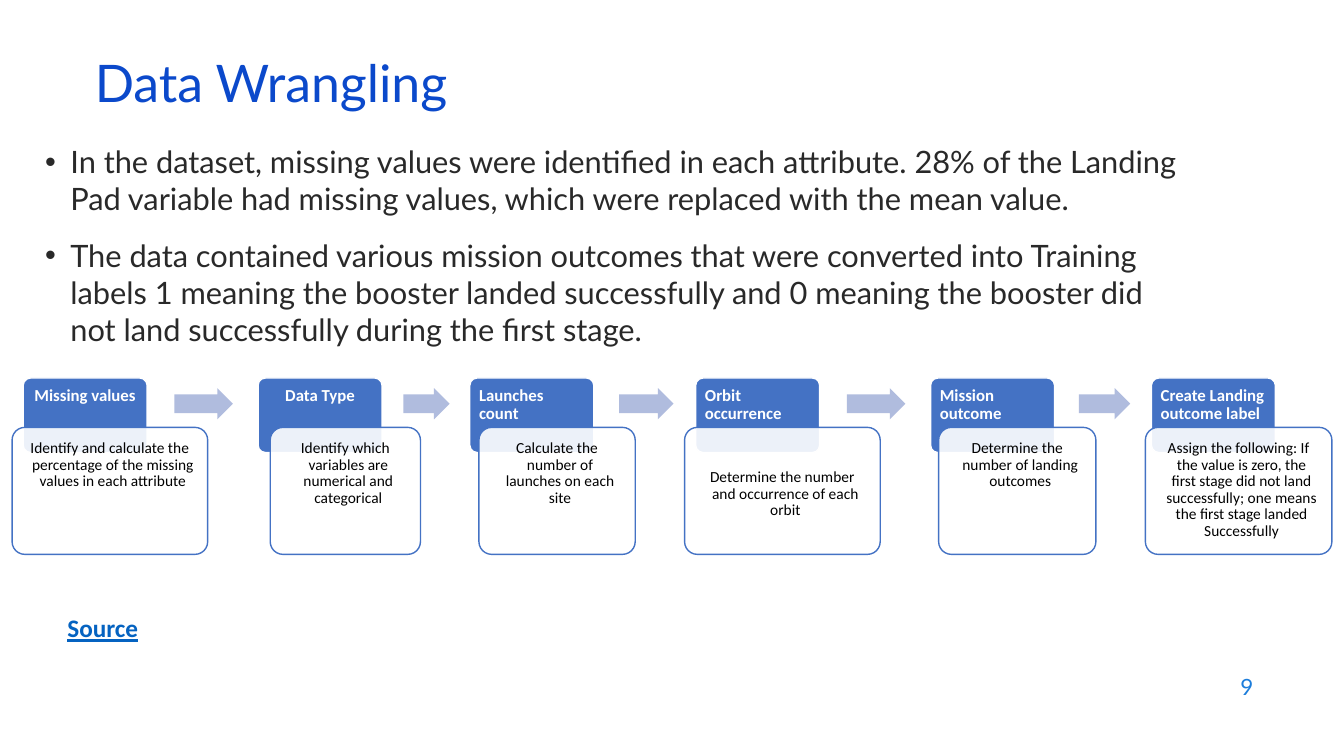
from dataclasses import dataclass

from pptx import Presentation
from pptx.dml.color import RGBColor
from pptx.enum import shapes, text
from pptx.oxml import parse_xml
from pptx.oxml.ns import nsdecls, qn
from pptx.util import Inches, Pt


@dataclass(frozen=True)
class Theme:
    lead: str = "Lato"
    small: str = "Calibri"
    title: str = "0B49CB"
    ink: str = "292929"
    blue: str = "4472C4"
    arrow: str = "B0BCDE"
    white: str = "FFFFFF"
    black: str = "000000"
    link: str = "0563C1"
    page: str = "1C7DDB"
    title_pt: int = 37
    point_pt: int = 22
    link_pt: int = 18
    page_pt: int = 16
    head_pt: int = 12
    body_pt: int = 11


T = Theme()
MID, LEFT, RIGHT = text.PP_ALIGN.CENTER, text.PP_ALIGN.LEFT, text.PP_ALIGN.RIGHT

TITLE = "Data Wrangling"
POINTS = [
    "In the dataset, missing values were identified in each attribute. 28% of the Landing Pad variable had missing values, which were replaced with the mean value.",
    "The data contained various mission outcomes that were converted into Training labels 1 meaning the booster landed successfully and 0 meaning the booster did not land successfully during the first stage.",
]
STEPS = [
    dict(head="Missing values", align=MID, x=0.23, box=(0.12, 1.94), arrow=(1.73, 0.58),
         body="Identify and calculate the percentage of the missing values in each attribute"),
    dict(head="Data Type", align=MID, x=2.56, box=(2.68, 1.49), arrow=(4, 0.46),
         body="Identify which variables are numerical and categorical"),
    dict(head="Launches count", x=4.66, box=(4.75, 1.55), arrow=(6.14, 0.54),
         body="Calculate the number of launches on each site"),
    dict(head="Orbit occurrence", x=6.9, box=(6.79, 1.94), arrow=(8.4, 0.58), pad=(0.11, 0.38),
         body="Determine the number and occurrence of each orbit"),
    dict(head="Mission outcome", x=9.23, box=(9.31, 1.56), arrow=(10.7, 0.51),
         body="Determine the number of landing outcomes"),
    dict(head="Create Landing outcome label", x=11.42, box=(11.36, 1.85),
         body="Assign the following: If the value is zero, the first stage did not land successfully; one means the first stage landed Successfully"),
]
LINK = "Source"
PAGE = "9"


def color(code):
    return RGBColor.from_string(code)


def style(para, face, size, code, bold=False, align=LEFT, line=1.0):
    para.alignment = align
    para.line_spacing = line
    for run in para.runs:
        font = run.font
        font.name, font.size, font.bold = face, Pt(size), bold
        font.color.rgb = color(code)


def indent(para, size):
    props = para._p.get_or_add_pPr()
    props.set("marL", str(Inches(size)))
    props.set("indent", str(-Inches(size)))
    return props


def label(slide, at, words):
    box = slide.shapes.add_textbox(*map(Inches, at))
    box.text_frame.word_wrap = True
    box.text_frame.text = words
    return box.text_frame


def shape(slide, kind, at, fill, line=None, adjust=(0.1,)):
    item = slide.shapes.add_shape(kind, *map(Inches, at))
    item.shadow.inherit = False
    for i, value in enumerate(adjust):
        item.adjustments[i] = value
    item.fill.solid()
    item.fill.fore_color.rgb = color(fill)
    if line:
        item.line.color.rgb = color(line)
        item.line.width = Pt(1)
    else:
        item.line.fill.background()
    return item


def write(item, words, side, top):
    frame = item.text_frame
    frame.word_wrap = True
    frame.vertical_anchor = text.MSO_ANCHOR.TOP
    frame.margin_left = frame.margin_right = Inches(side)
    frame.margin_top, frame.margin_bottom = Inches(top), Inches(0.05)
    frame.text = words
    return frame.paragraphs[0]


def add_step(slide, step):
    block = shapes.MSO_SHAPE.ROUNDED_RECTANGLE
    head = shape(slide, block, (step["x"], 3.75, 1.23, 0.74), T.blue, T.white)
    para = write(head, step["head"], 0.07, 0.07)
    style(para, T.small, T.head_pt, T.white, True, step.get("align", LEFT), 0.9)

    left, width = step["box"]
    body = shape(slide, block, (left, 4.24, width, 1.26), T.white, T.blue)
    tint = body.fill._xPr.find(qn("a:solidFill"))[0]
    tint.append(parse_xml(f'<a:alpha {nsdecls("a")} val="90000"/>'))
    para = write(body, step["body"], *step.get("pad", (0.09, 0.09)))
    indent(para, 0.06)
    style(para, T.small, T.body_pt, T.black, align=MID, line=0.9)

    if "arrow" in step:
        left, width = step["arrow"]
        shape(slide, shapes.MSO_SHAPE.RIGHT_ARROW, (left, 3.85, width, 0.31), T.arrow, adjust=(0.6, 0.5))


def main():
    deck = Presentation()
    deck.slide_width, deck.slide_height = Inches(13.33), Inches(7.5)
    slide = deck.slides.add_slide(deck.slide_layouts[5])

    title = slide.shapes.title
    title.left, title.top, title.width, title.height = map(Inches, (0.84, 0.59, 11.5, 0.6))
    frame = title.text_frame
    frame.text = TITLE
    frame.auto_size = text.MSO_AUTO_SIZE.NONE
    frame.vertical_anchor = text.MSO_ANCHOR.MIDDLE
    style(frame.paragraphs[0], T.lead, T.title_pt, T.title, line=0.7)

    for step in STEPS:
        add_step(slide, step)

    frame = label(slide, (0.35, 1.37, 11.5, 2.49), "\n".join(POINTS))
    for i, para in enumerate(frame.paragraphs):
        props = indent(para, 0.25)
        props.append(parse_xml(f'<a:buFont {nsdecls("a")} typeface="Arial"/>'))
        props.append(parse_xml(f'<a:buChar {nsdecls("a")} char="•"/>'))
        style(para, T.lead, T.point_pt, T.ink)
        if i:
            para.space_before = Pt(14)

    frame = label(slide, (0.57, 6.03, 0.94, 0.4), LINK)
    frame.word_wrap = False
    style(frame.paragraphs[0], T.small, T.link_pt, T.link, True)
    frame.paragraphs[0].runs[0].font.underline = True

    frame = label(slide, (9.53, 6.59, 3, 0.44), PAGE)
    frame.vertical_anchor = text.MSO_ANCHOR.MIDDLE
    style(frame.paragraphs[0], T.lead, T.page_pt, T.page, align=RIGHT)

    deck.save("out.pptx")


if __name__ == "__main__":
    main()
